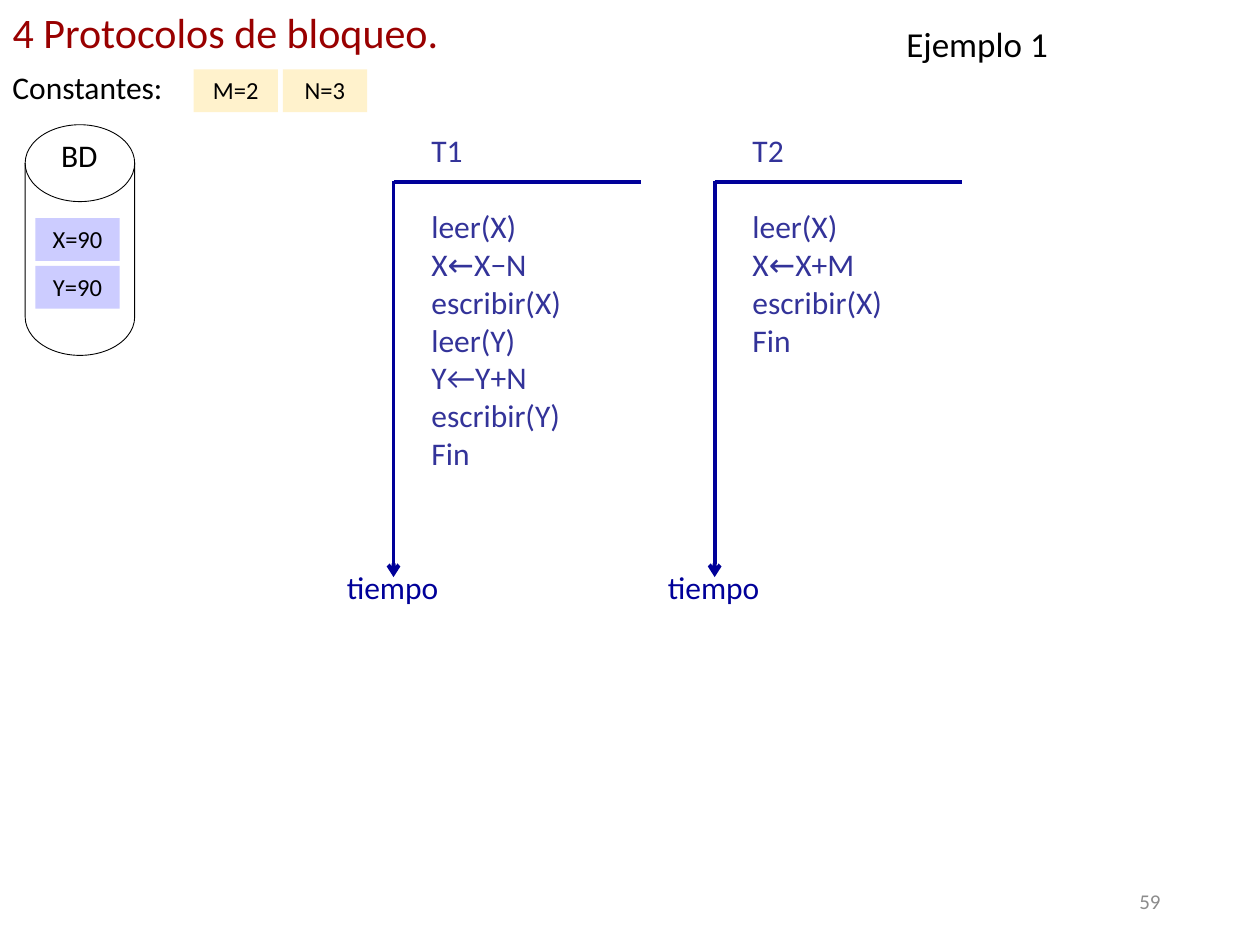
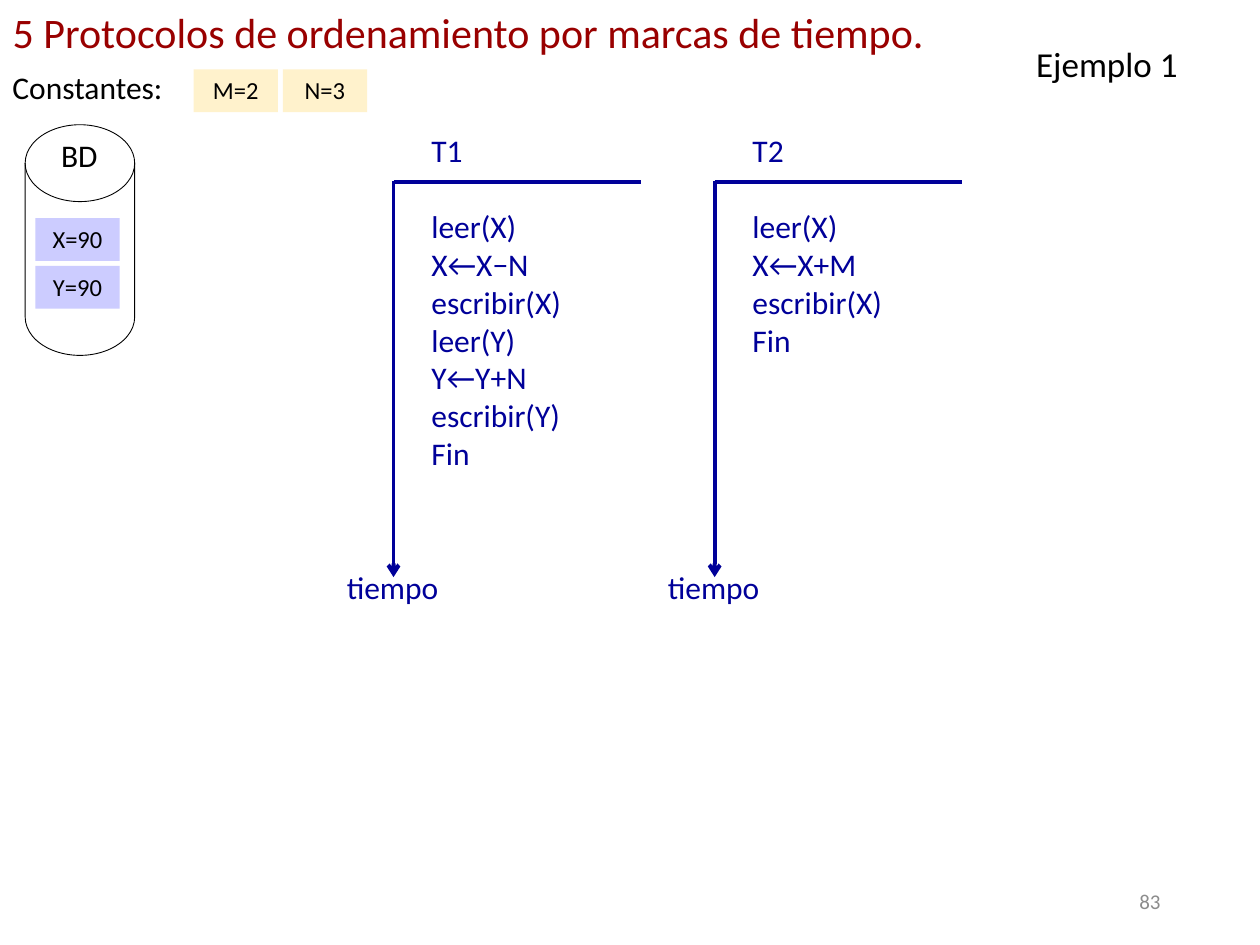
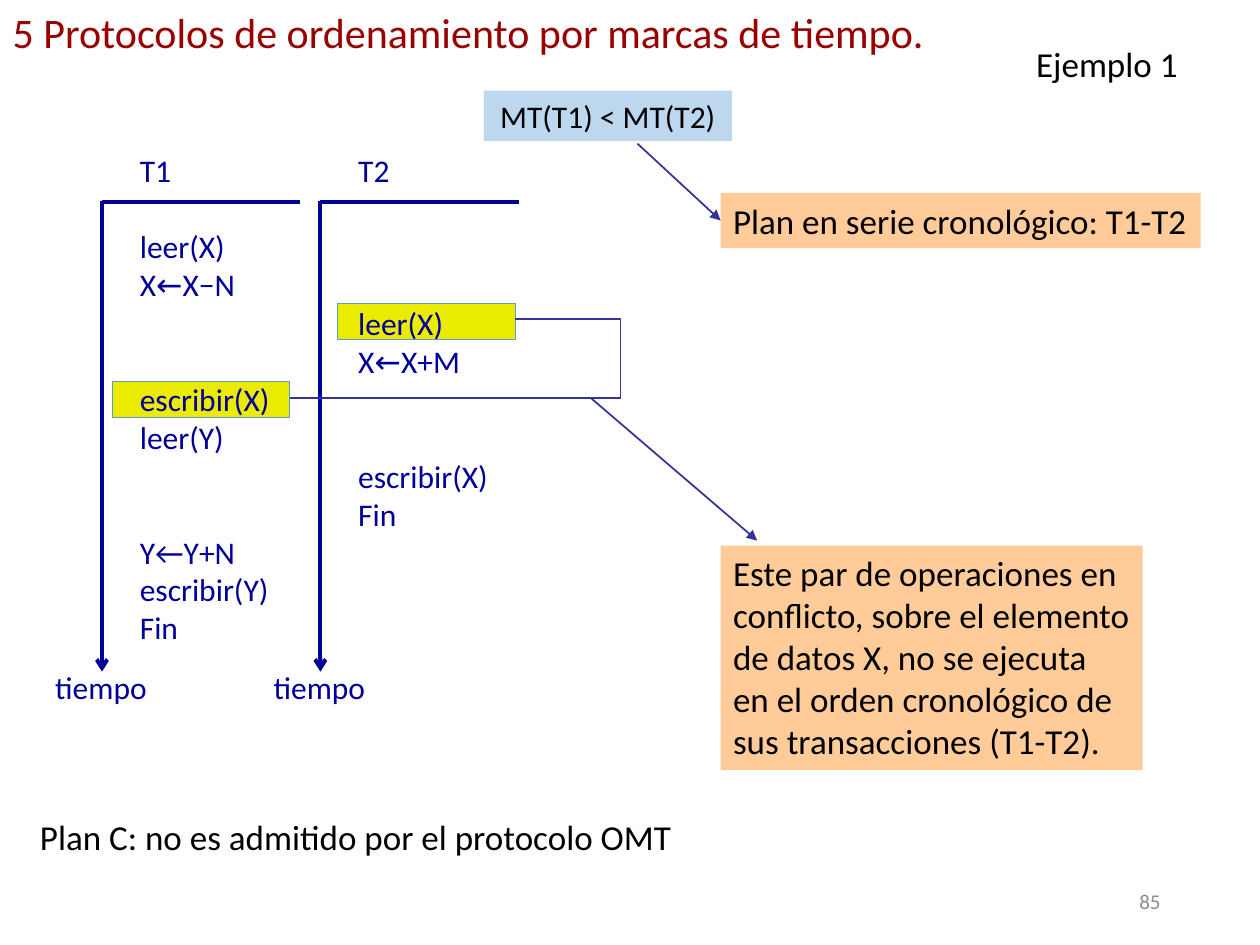
from lxml import etree
from pptx import Presentation
from pptx.dml.color import RGBColor
from pptx.enum import shapes, text
from pptx.oxml import ns
from pptx.util import Pt

HUES = {
    "title": "990000", "ink": "000000", "page": "8C8C8C", "white": "FFFFFF",
    "axis": "000099", "soft": "333399", "const": "FFF2CC", "item": "CCCCFF",
    "mark": "EBEB00", "edge": "5B9BD5", "rule": "BDD7EE", "note": "FFCC99",
}
FACE = "Calibri"
ROW = 22
BAR = 2.25

CONSTS = ["M=2", "N=3"]
ITEMS = ["X=90", "Y=90"]
APART = [
    ["T1", None, "leer(X)", "X←X−N", "escribir(X)", "leer(Y)", "Y←Y+N",
     "escribir(Y)", "Fin"],
    ["T2", None, "leer(X)", "X←X+M", "escribir(X)", "Fin"],
]
MIXED = [
    ["T1", None, "leer(X)", "X←X−N", None, None, "escribir(X)", "leer(Y)",
     None, None, "Y←Y+N", "escribir(Y)", "Fin"],
    ["T2", None, None, None, "leer(X)", "X←X+M", None, None,
     "escribir(X)", "Fin"],
]
WIDE = {"xs": [224.9, 408.4], "top": 103.3, "end": 329.8, "tag": 321.1, "span": 141.5}
SLIM = {"xs": [58.3, 183.1], "top": 114.8, "end": 383.8, "tag": 378, "span": 113.4}
MARKS = "5 Protocolos de ordenamiento por marcas de tiempo."
SLIDES = [
    {"title": "4 Protocolos de bloqueo.", "width": 260.6, "page": 59,
     "sample": (504.7, 9.4), "plans": APART, "axes": WIDE, "hue": "soft",
     "arrow": "Comic Neue", "store": True},
    {"title": MARKS, "width": 560.2, "page": 83, "sample": (578.9, 20.9),
     "plans": APART, "axes": WIDE, "hue": "axis", "arrow": FACE, "store": True},
    {"title": MARKS, "width": 560.2, "page": 85, "sample": (578.9, 20.9),
     "plans": MIXED, "axes": SLIM, "hue": "axis", "arrow": "Comic Neue",
     "store": False},
]
SPOTS = [(64.1, 218.2), (193, 173.5)]
NOTES = [
    ("Plan C: no es admitido por el protocolo OMT",
     (15.8, 462.2, 593.3, 31.7), {"size": 20}),
    ("MT(T1) < MT(T2)", (276.5, 51.8, 141.8, 28.8),
     {"size": 18, "align": "CENTER", "fill": "rule"}),
    ("Este par de operaciones en conflicto, sobre el elemento de datos X, "
     "no se ejecuta en el orden cronológico de sus transacciones (T1-T2).",
     (411.8, 311.8, 241.2, 128.2), {"size": 20, "fill": "note"}),
    ("Plan en serie cronológico: T1-T2", (411.8, 110.2, 274.3, 31.7),
     {"size": 20, "fill": "note"}),
]
LINKS = [((337.7, 227.5), (432.7, 308.9)), ((364.3, 82.1), (411.8, 126))]


def rgb(hue):
    return RGBColor.from_string(HUES[hue])


def place(shape, box):
    shape.left, shape.top, shape.width, shape.height = map(Pt, box)


def style(run, size, hue, face=FACE):
    run.font.name, run.font.size = face, Pt(size)
    run.font.color.rgb = rgb(hue)


def block(slide, box, kind="RECTANGLE", fill="white", edge=None):
    shape = slide.shapes.add_shape(
        getattr(shapes.MSO_SHAPE, kind), *map(Pt, box))
    shape.shadow.inherit = False
    shape.fill.solid()
    shape.fill.fore_color.rgb = rgb(fill)
    if edge:
        shape.line.color.rgb = rgb(edge)
        shape.line.width = Pt(0.5)
    else:
        shape.line.fill.background()
    return shape


def write(slide, words, box, size=18, hue="ink", align="LEFT", anchor="TOP",
          fill=None, wrap=True, pad=7.2, arrow=FACE, shape=None):
    if shape is None:
        shape = (block(slide, box, fill=fill) if fill
                 else slide.shapes.add_textbox(*map(Pt, box)))
    place(shape, box)
    frame = shape.text_frame
    frame.auto_size = text.MSO_AUTO_SIZE.NONE
    frame.word_wrap = wrap
    frame.vertical_anchor = getattr(text.MSO_ANCHOR, anchor)
    frame.margin_left = frame.margin_right = Pt(pad)
    frame.margin_top = frame.margin_bottom = Pt(3.6)
    para, gap = None, 0
    for line in [words] if isinstance(words, str) else words:
        if line is None:
            gap += ROW
            continue
        para = frame.add_paragraph() if para else frame.paragraphs[0]
        para.alignment = getattr(text.PP_ALIGN, align)
        para.space_before, gap = Pt(gap), 0
        head, sign, tail = line.partition("←")
        face = arrow if head == "X" else FACE
        for part, font in [(head, FACE), (sign, face), (tail, FACE)]:
            if part:
                run = para.add_run()
                run.text = part
                style(run, size, hue, font)


def link(slide, start, end, hue="soft", width=1, tip=None, bend=None):
    kind = shapes.MSO_CONNECTOR.ELBOW if bend else shapes.MSO_CONNECTOR.STRAIGHT
    line = slide.shapes.add_connector(kind, *map(Pt, start + end))
    line.line.color.rgb = rgb(hue)
    line.line.width = Pt(width)
    props = line._element.spPr
    if tip:
        etree.SubElement(props.find(ns.qn("a:ln")), ns.qn("a:tailEnd"), type=tip)
    if bend:
        geom = props.find(ns.qn("a:prstGeom"))
        guides = geom.find(ns.qn("a:avLst"))
        if guides is None:
            guides = etree.SubElement(geom, ns.qn("a:avLst"))
        etree.SubElement(guides, ns.qn("a:gd"), name="adj1", fmla=f"val {bend}")
    etree.SubElement(props, ns.qn("a:effectLst"))


def plans(slide, data):
    axes = data["axes"]
    top, end, span = axes["top"], axes["end"], axes["span"]
    for x, lines in zip(axes["xs"], data["plans"]):
        write(slide, "tiempo", (x - 33.8, axes["tag"], 69.1, 28.8),
              hue="axis", fill="white", wrap=False)
        link(slide, (x, top), (x, end), "axis", BAR, "arrow")
        link(slide, (x, top + 0.5), (x + span, top + 0.5), "axis", BAR)
        write(slide, lines, (x + 21.6, top - 32, span - 15, len(lines) * ROW + 6),
              hue=data["hue"], pad=0, arrow=data["arrow"])


def store(slide):
    block(slide, (14.4, 71.3, 62.6, 131.8), "FLOWCHART_MAGNETIC_DISK", edge="ink")
    write(slide, "BD", (21.6, 74.2, 47.5, 28.8), align="CENTER")
    cell = {"size": 14, "align": "CENTER"}
    for i, item in enumerate(ITEMS):
        write(slide, item, (20.2, 124.6 + i * 27.4, 48.2, 24.5), fill="item", **cell)
    write(slide, "Constantes:", (0, 35.3, 116.6, 28.8))
    for i, const in enumerate(CONSTS):
        write(slide, const, (110.6, 39.6, 48.2, 24.5) if not i else
              (110.6 + i * 51, 39.6, 48.2, 24.5), fill="const", **cell)


def clash(slide):
    for words, box, form in NOTES:
        write(slide, words, box, **form)
    link(slide, (294.5, 182.2), (165.6, 227.5), bend=-46600)
    for start, end in LINKS:
        link(slide, start, end, tip="triangle")


def main():
    deck = Presentation()
    deck.slide_width, deck.slide_height = Pt(720), Pt(540)
    for data in SLIDES:
        slide = deck.slides.add_slide(deck.slide_layouts[5])
        write(slide, data["title"], (0, 0, data["width"], 36), size=24,
              hue="title", wrap=False, shape=slide.shapes.title)
        write(slide, str(data["page"]), (508.3, 500.4, 162, 28.8), size=12,
              hue="page", align="RIGHT", anchor="MIDDLE")
        write(slide, "Ejemplo 1", data["sample"] + (107.3, 31.7), size=20,
              align="CENTER")
        if data["store"]:
            store(slide)
        else:
            for spot in SPOTS:
                block(slide, spot + (101.5, 20.2), fill="mark", edge="edge")
        plans(slide, data)
        if not data["store"]:
            clash(slide)
    deck.save("out.pptx")


if __name__ == "__main__":
    main()
